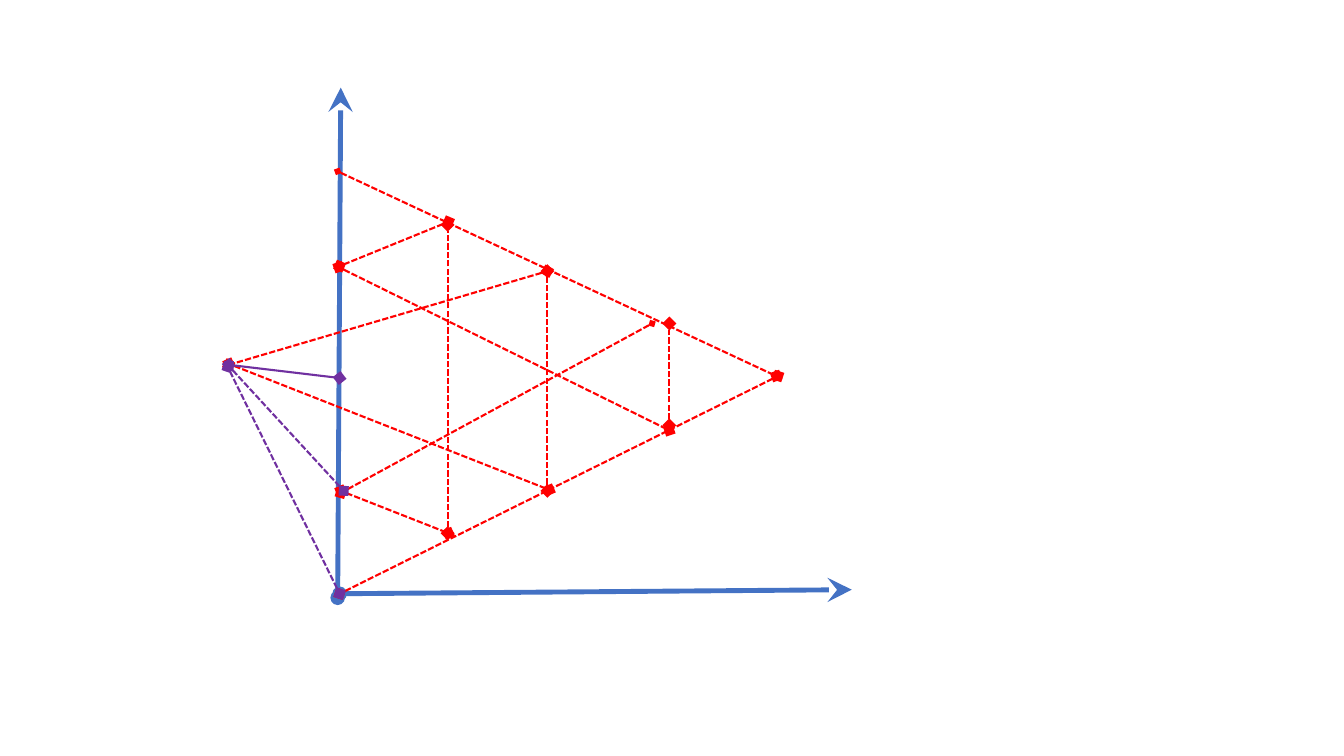
from pptx import Presentation
from pptx.dml.color import RGBColor
from pptx.enum.dml import MSO_LINE
from pptx.enum.shapes import MSO_CONNECTOR
from pptx.oxml.ns import qn
from pptx.util import Pt
from lxml.etree import SubElement

AXIS_BLUE = RGBColor(0x44, 0x72, 0xC4)
LATTICE_RED = RGBColor(0xFF, 0x00, 0x00)
FAN_PURPLE = RGBColor(0x70, 0x30, 0xA0)

# Ends are in points from the top left corner of the diagram.
ORIGIN = (80.6, 362.1)
AXES = [
    ((79.2, 365), (81.4, 0.6)),
    (ORIGIN, (446.4, 359.2)),
]
# Start, end and size of the start marker.
LATTICE = [
    ((393.8, 206.6), ORIGIN, "lg"),
    ((79.2, 60.4), (392.4, 206.6), "med"),
    ((79.9, 128.8), (316.1, 245.4), "lg"),
    ((1.4, 197.9), (230.4, 287.9), "lg"),
    ((81.4, 288.6), (158.4, 318.9), "lg"),
    ((303.8, 169.1), (81.4, 290.1), "med"),
    ((229, 131.7), (1.4, 198.6), "lg"),
    ((158.4, 96.4), (80.6, 128.1), "lg"),
    ((157.7, 318.9), (157.7, 98.6), "lg"),
    ((229, 288.6), (229, 131.7), "lg"),
    ((316.1, 241.8), (316.1, 169.1), "lg"),
]
FAN = [
    ((80.6, 208), (1.4, 198.6), None),
    ((83.5, 288.6), (1.4, 199.4), MSO_LINE.SQUARE_DOT),
    (ORIGIN, (0.7, 200.1), MSO_LINE.SQUARE_DOT),
]


def add_marked_line(slide, corner, start, end, color, width, markers, dash=None):
    """Draw a line with a (kind, size) marker at each of its two ends."""
    left, top = corner
    line = slide.shapes.add_connector(
        MSO_CONNECTOR.STRAIGHT,
        Pt(left + start[0]), Pt(top + start[1]),
        Pt(left + end[0]), Pt(top + end[1]))
    line.line.color.rgb = color
    line.line.width = Pt(width)
    if dash is not None:
        line.line.dash_style = dash
    properties = line._element.spPr
    outline = properties.find(qn("a:ln"))
    for tag, (kind, size) in zip(("a:headEnd", "a:tailEnd"), markers):
        SubElement(outline, qn(tag), type=kind, w=size, len=size)
    SubElement(properties, qn("a:effectLst"))


def add_axes(slide, corner):
    for start, end in AXES:
        add_marked_line(slide, corner, start, end, AXIS_BLUE, 3.5,
                        (("oval", "med"), ("stealth", "lg")))


def add_lattice(slide, corner):
    for start, end, start_size in LATTICE:
        add_marked_line(slide, corner, start, end, LATTICE_RED, 1.5,
                        (("diamond", start_size), ("diamond", "lg")),
                        MSO_LINE.SQUARE_DOT)


def add_fan(slide, corner):
    for start, end, dash in FAN:
        add_marked_line(slide, corner, start, end, FAN_PURPLE, 1.5,
                        (("diamond", "lg"), ("diamond", "lg")), dash)


def main():
    deck = Presentation()
    deck.slide_width, deck.slide_height = Pt(960), Pt(540)
    slide = deck.slides.add_slide(deck.slide_layouts[6])
    corner = (162, 62)
    add_axes(slide, corner)
    add_lattice(slide, corner)
    add_fan(slide, corner)
    deck.save("out.pptx")


if __name__ == "__main__":
    main()
